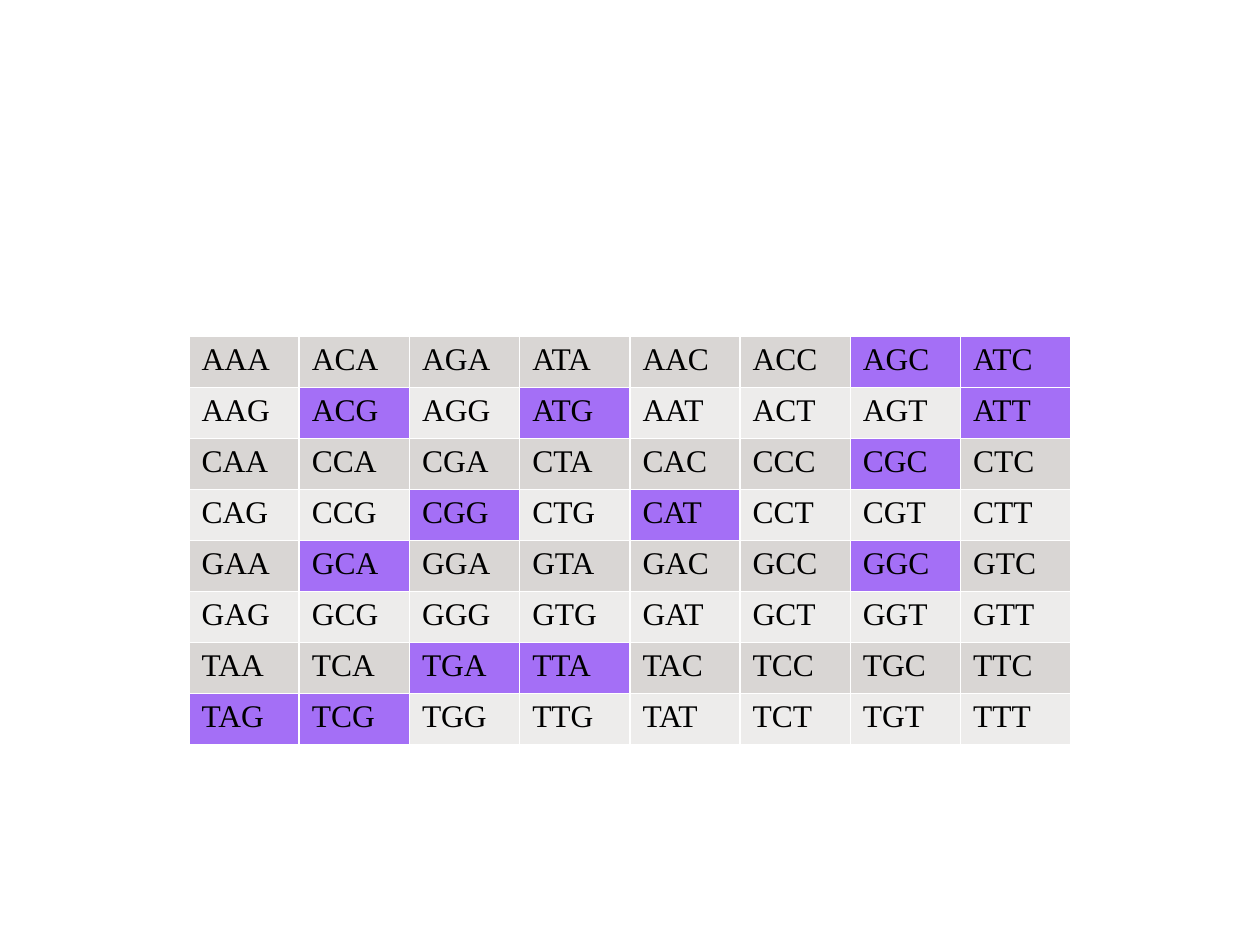
from dataclasses import dataclass
from itertools import product

from lxml import etree
from pptx import Presentation
from pptx.dml.color import RGBColor
from pptx.oxml.ns import qn
from pptx.util import Inches, Pt


@dataclass(frozen=True)
class Theme:
    font: str = "Times New Roman"
    size: int = 18
    text: str = "000000"
    bands: tuple = ("D9D6D4", "EDECEB")
    highlight: str = "A46FF6"
    border: str = "FFFFFF"
    border_width: int = 1


THEME = Theme()
BLANK_LAYOUT = 6
SIZE = 8
BASES = "ACGT"
THIRD_BASES = ("AC", "GT")  # even rows, odd rows: left half, right half
HIGHLIGHTED = set(
    "AGC ATC ACG ATG ATT CGC CGG CAT GCA GGC TGA TTA TAG TCG".split()
)


def set_borders(cell):
    tc_pr = cell._tc.get_or_add_tcPr()
    for i, side in enumerate(("lnL", "lnR", "lnT", "lnB")):
        ln = etree.Element(qn(f"a:{side}"), w=str(Pt(THEME.border_width)))
        fill = etree.SubElement(ln, qn("a:solidFill"))
        etree.SubElement(fill, qn("a:srgbClr"), val=THEME.border)
        tc_pr.insert(i, ln)  # borders come before the cell's fill


prs = Presentation()
prs.slide_width, prs.slide_height = Inches(10), Inches(7.5)
s = prs.slides.add_slide(prs.slide_layouts[BLANK_LAYOUT])

table = s.shapes.add_table(
    SIZE, SIZE, Inches(1.5), Inches(2.67), Inches(7), Inches(3.24)
).table
table.first_row = False

for row, col in product(range(SIZE), repeat=2):
    codon = BASES[row // 2] + BASES[col % 4] + THIRD_BASES[row % 2][col // 4]
    color = THEME.highlight if codon in HIGHLIGHTED else THEME.bands[row % 2]
    cell = table.cell(row, col)
    cell.fill.solid()
    cell.fill.fore_color.rgb = RGBColor.from_string(color)
    set_borders(cell)

    r = cell.text_frame.paragraphs[0].add_run()
    r.text = codon
    for name, value in {"name": THEME.font, "size": Pt(THEME.size)}.items():
        setattr(r.font, name, value)
    r.font.color.rgb = RGBColor.from_string(THEME.text)

prs.save("out.pptx")
